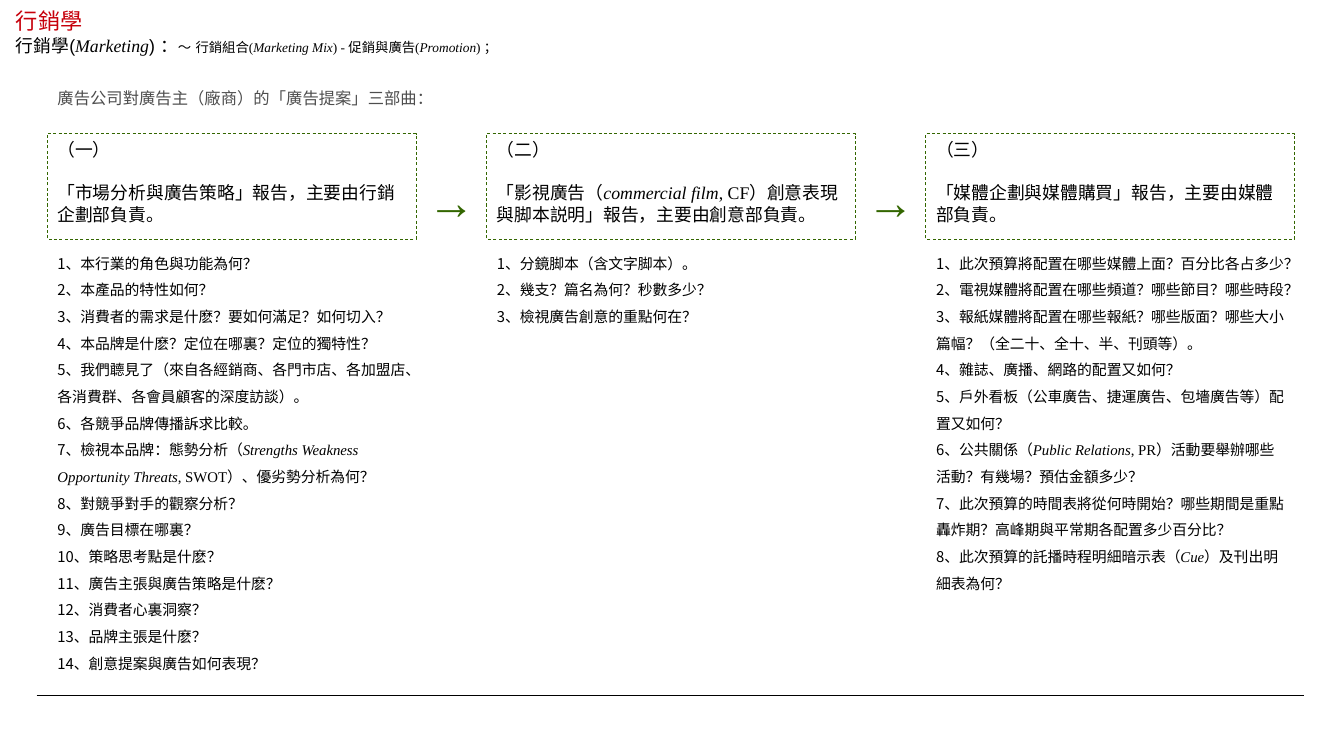
from dataclasses import dataclass

from lxml import etree
from pptx import Presentation
from pptx.dml.color import RGBColor
from pptx.enum.dml import MSO_LINE
from pptx.enum.shapes import MSO_CONNECTOR, MSO_SHAPE
from pptx.enum.text import MSO_ANCHOR, PP_ALIGN
from pptx.oxml.ns import qn
from pptx.util import Cm, Pt

DASH = MSO_LINE.DASH
STRAIGHT = MSO_CONNECTOR.STRAIGHT
RECT = MSO_SHAPE.RECTANGLE
TOP, MIDDLE = MSO_ANCHOR.TOP, MSO_ANCHOR.MIDDLE
LEFT, CENTER = PP_ALIGN.LEFT, PP_ALIGN.CENTER


@dataclass(frozen=True)
class Theme:
    black: RGBColor = RGBColor(0x00, 0x00, 0x00)
    red: RGBColor = RGBColor(0xC7, 0x00, 0x0B)
    grey: RGBColor = RGBColor(0x4D, 0x4D, 0x4D)
    green: RGBColor = RGBColor(0x33, 0x66, 0x00)
    sans: str = "Arial"
    serif: str = "Times New Roman"
    cjk: str = "Noto Sans CJK SC"
    title: float = 15
    subtitle: float = 12
    topic: float = 9
    topic_gap: float = 13
    caption: float = 11
    stage: float = 12
    item: float = 10
    arrow: float = 32
    stage_line: float = 14.5
    item_line: float = 18
    rule: float = 0.5


T = Theme()

STAGES = [
    ("（一）", "「市場分析與廣告策略」報告，主要由行銷企劃部負責。", [
        "本行業的角色與功能為何？",
        "本產品的特性如何？",
        "消費者的需求是什麽？要如何滿足？如何切入？",
        "本品牌是什麽？定位在哪裏？定位的獨特性？",
        "我們聼見了（來自各經銷商、各門市店、各加盟店、各消費群、各會員顧客的深度訪談）。",
        "各競爭品牌傳播訴求比較。",
        "檢視本品牌：態勢分析（|Strengths Weakness Opportunity Threats|, SWOT|）、優劣勢分析為何？",
        "對競爭對手的觀察分析？",
        "廣告目標在哪裏？",
        "策略思考點是什麽？",
        "廣告主張與廣告策略是什麽？",
        "消費者心裏洞察？",
        "品牌主張是什麽？",
        "創意提案與廣告如何表現？",
    ]),
    ("（二）", "「影視廣告（|commercial film|, CF|）創意表現與脚本説明」報告，主要由創意部負責。", [
        "分鏡脚本（含文字脚本）。",
        "幾支？篇名為何？秒數多少？",
        "檢視廣告創意的重點何在？",
    ]),
    ("（三）", "「媒體企劃與媒體購買」報告，主要由媒體部負責。", [
        "此次預算將配置在哪些媒體上面？百分比各占多少？",
        "電視媒體將配置在哪些頻道？哪些節目？哪些時段？",
        "報紙媒體將配置在哪些報紙？哪些版面？哪些大小篇幅？（全二十、全十、半、刊頭等）。",
        "雜誌、廣播、網路的配置又如何？",
        "戶外看板（公車廣告、捷運廣告、包墻廣告等）配置又如何？",
        "公共關係（|Public Relations|, PR|）活動要舉辦哪些活動？有幾場？預估金額多少？",
        "此次預算的時間表將從何時開始？哪些期間是重點轟炸期？高峰期與平常期各配置多少百分比？",
        "此次預算的託播時程明細暗示表（|Cue|）及刊出明細表為何？",
    ]),
]


def add_run(p, text, size, font, color=T.black, italic=False):
    r = p.add_run()
    r.text = text
    r.font.size = Pt(size)
    r.font.name = font
    r.font.color.rgb = color
    r.font.italic = italic


def add_mixed(p, text, size):
    for part in text.split("|"):
        latin = part.isascii()
        add_run(p, part, size, T.serif if latin else T.cjk,
                italic=latin and part[0].isalpha())


def add_text(slide, x, y, w, h, anchor=TOP):
    tf = slide.shapes.add_textbox(Cm(x), Cm(y), Cm(w), Cm(h)).text_frame
    tf.word_wrap = True
    tf.vertical_anchor = anchor
    return tf


def add_header(slide, x, y, w):
    p = add_text(slide, x, y, w, 0.61, MIDDLE).paragraphs[0]
    add_run(p, "行銷學", T.title, T.sans, T.red)
    p = add_text(slide, x, y + 0.48, w, 0.81).paragraphs[0]
    add_run(p, "行銷學(", T.subtitle, T.sans)
    add_run(p, "Marketing", T.subtitle, T.serif, italic=True)
    add_run(p, ") ：", T.subtitle, T.sans)
    add_run(p, "～", T.topic, T.sans)
    add_run(p, " ", T.topic_gap, T.sans)
    for text in ("行銷組合(", "Marketing Mix", ") - 促銷與廣告(", "Promotion", ") ；"):
        add_run(p, text, T.topic, T.serif, italic=text[0] in "MP")


def add_caption(slide, x, y, w):
    p = add_text(slide, x, y, w, 0.86).paragraphs[0]
    p.line_spacing = 1.5
    add_run(p, "廣告公司對廣告主（廠商）的「廣告提案」三部曲：", T.caption, T.serif, T.grey)


def add_stage_box(slide, x, y, w, h, number, summary):
    sp = slide.shapes.add_shape(RECT, Cm(x), Cm(y), Cm(w), Cm(h))
    sp.shadow.inherit = False
    sp.fill.background()
    sp.line.color.rgb = T.green
    sp.line.width = Pt(T.rule)
    sp.line.dash_style = DASH
    tf = sp.text_frame
    tf.word_wrap = True
    tf.vertical_anchor = TOP
    for i, text in enumerate((number, summary)):
        p = tf.add_paragraph() if i else tf.paragraphs[0]
        p.alignment = LEFT
        p.line_spacing = Pt(T.stage_line)
        p.space_before = Pt(T.stage_line * i)
        add_mixed(p, text, T.stage)


def add_questions(slide, x, y, w, h, questions):
    tf = add_text(slide, x, y, w, h)
    for i, question in enumerate(questions):
        p = tf.add_paragraph() if i else tf.paragraphs[0]
        p.line_spacing = Pt(T.item_line)
        add_mixed(p, f"{i + 1}、{question}", T.item)


def add_arrow(slide, x, y, w, h):
    p = add_text(slide, x, y, w, h, MIDDLE).paragraphs[0]
    p.alignment = CENTER
    p.line_spacing = 1.5
    add_run(p, "→", T.arrow, T.serif, T.green)


def add_stages(slide, x, y, w, h):
    gap, box_h, arrow_h = 1.67, 2.51, 2.06
    col_w = (w - gap * (len(STAGES) - 1)) / len(STAGES)
    for i, (number, summary, questions) in enumerate(STAGES):
        left = x + i * (col_w + gap)
        add_stage_box(slide, left, y, col_w, box_h, number, summary)
        add_questions(slide, left, y + box_h + 0.03, col_w, h - box_h, questions)
        if i:
            add_arrow(slide, left - gap, y + (box_h - arrow_h) / 2, gap, arrow_h)


def add_footer_rule(slide, x, y, w):
    line = slide.shapes.add_connector(STRAIGHT, Cm(x), Cm(y), Cm(x + w), Cm(y))
    line.line.color.rgb = T.black
    line.line.width = Pt(T.rule)
    etree.SubElement(line._element.spPr, qn("a:effectLst"))


def main():
    prs = Presentation()
    prs.slide_width, prs.slide_height = Cm(32), Cm(18)
    slide = prs.slides.add_slide(prs.slide_layouts[6])
    add_footer_rule(slide, 0.87, 16.56, 30.17)
    add_header(slide, 0.13, 0.18, 26.5)
    add_caption(slide, 1.12, 1.75, 29.71)
    add_stages(slide, 1.12, 3.18, 29.71, 13.05)
    prs.save("out.pptx")


if __name__ == "__main__":
    main()
